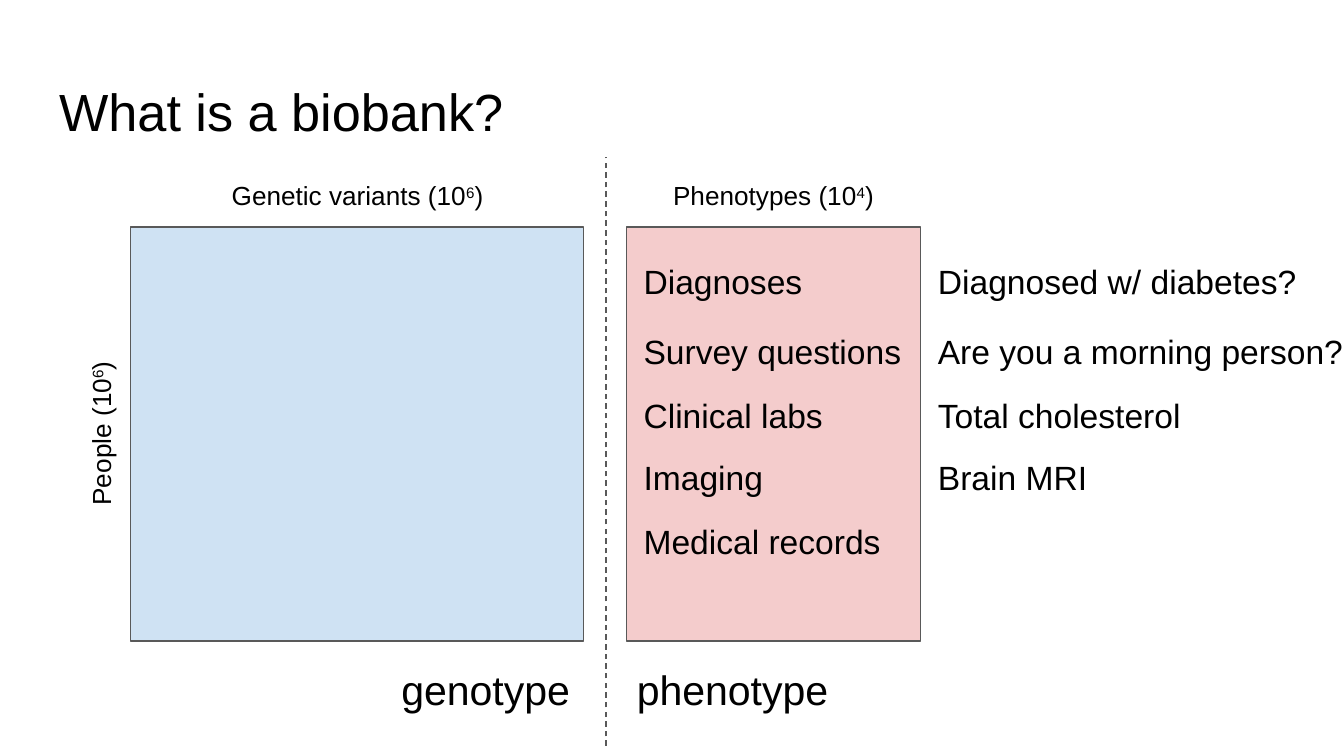
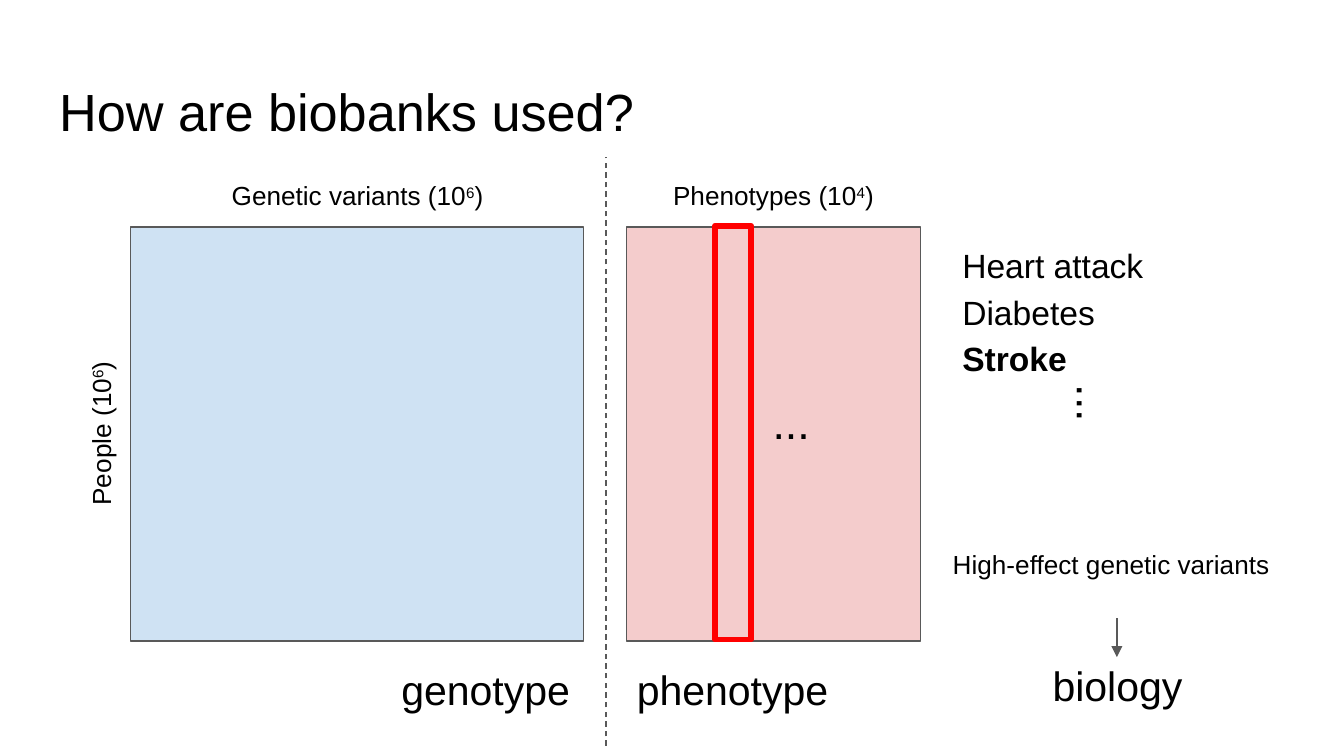
import pptx
import pptx.util
import pptx.dml.color
import pptx.enum.dml
import pptx.enum.shapes
import pptx.enum.text
import lxml.etree

RGB = pptx.dml.color.RGBColor
BLACK = RGB(0x00, 0x00, 0x00)
GRAY = RGB(0x59, 0x59, 0x59)
BLUE = RGB(0xCF, 0xE2, 0xF3)
PINK = RGB(0xF4, 0xCC, 0xCC)
RED = RGB(0xFF, 0x00, 0x00)
FONT = "Arial"
PX = 9144  # EMU per px, 100 px to the inch

ALIGN = pptx.enum.text.PP_ALIGN
ANCHOR = pptx.enum.text.MSO_ANCHOR
RECTANGLE = pptx.enum.shapes.MSO_SHAPE.RECTANGLE
STRAIGHT = pptx.enum.shapes.MSO_CONNECTOR.STRAIGHT
A = "{http://schemas.openxmlformats.org/drawingml/2006/main}"


def write(sp, box, text, size, align=ALIGN.LEFT, anchor=ANCHOR.TOP, pad=10, wrap=True):
    """Place a text shape and fill it; ^ marks the next character as superscript."""
    sp.left, sp.top, sp.width, sp.height = [v * PX for v in box]
    tf = sp.text_frame
    tf.word_wrap = wrap
    tf.auto_size = pptx.enum.text.MSO_AUTO_SIZE.NONE
    tf.vertical_anchor = anchor
    tf.margin_left = tf.margin_right = 10 * PX
    tf.margin_top = tf.margin_bottom = pad * PX
    for i, line in enumerate(text.split("\n")):
        p = tf.add_paragraph() if i else tf.paragraphs[0]
        p.alignment = align
        base, _, rest = line.partition("^")
        for part, raised in ((base, False), (rest[:1], True), (rest[1:], False)):
            if part:
                r = p.add_run()
                r.text = part
                r.font.name = FONT
                r.font.size = pptx.util.Pt(size)
                r.font.color.rgb = BLACK
                if raised:
                    r.font._element.set("baseline", "30000")
    return sp


def add_line(s, x1, y1, x2, y2):
    cx = s.shapes.add_connector(STRAIGHT, x1 * PX, y1 * PX, x2 * PX, y2 * PX)
    cx.line.color.rgb = GRAY
    cx.line.width = pptx.util.Pt(0.75)
    lxml.etree.SubElement(cx._element.spPr, A + "effectLst")
    return cx


prs = pptx.Presentation()
prs.slide_width = 1000 * PX
prs.slide_height = prs.slide_width * 9 // 16

# Shared frame: title, the two data blocks, their labels and the divider
slides = []
for title, layout in (("What is a biobank?", 5), ("How are biobanks used?", 1)):
    s = prs.slides.add_slide(prs.slide_layouts[layout])
    slides.append(s)
    write(s.shapes.title, (34, 49, 932, 63), title, 28)

    for left, width, color in ((97, 337, BLUE), (466, 219, PINK)):
        sp = s.shapes.add_shape(RECTANGLE, left * PX, 169 * PX, width * PX, 308 * PX)
        sp.shadow.inherit = False
        sp.fill.solid()
        sp.fill.fore_color.rgb = color
        sp.line.color.rgb = GRAY
        sp.line.width = pptx.util.Pt(0.75)

    for box, text, size, align, rotation in (
        ((-79, 304, 308, 37), "People (10^6)", 14, ALIGN.CENTER, 270),
        ((145, 127, 242, 37), "Genetic variants (10^6)", 14, ALIGN.CENTER, 0),
        ((466, 127, 219, 37), "Phenotypes (10^4)", 14, ALIGN.CENTER, 0),
        ((97, 494, 337, 37), "genotype", 22, ALIGN.RIGHT, 0),
        ((464, 494, 337, 37), "phenotype", 22, ALIGN.LEFT, 0),
    ):
        sp = s.shapes.add_textbox(0, 0, 0, 0)
        write(sp, box, text, size, align, ANCHOR.MIDDLE)
        sp.rotation = rotation

    cx = add_line(s, 451, 555, 451, 117)
    cx.line.dash_style = pptx.enum.dml.MSO_LINE.DASH

# Slide 1: kinds of phenotype, each with an example
s = slides[0]
for top, height, kind, kind_width, example, example_width in (
    (189, 64, "Diagnoses", 139, "Diagnosed w/ diabetes?", 289),
    (241, 64, "Survey questions", 214, "Are you a morning person?", 333),
    (289, 64, "Clinical labs", 155, "Total cholesterol", 205),
    (335, 40, "Imaging", 110, "Brain MRI", 132),
    (383, 64, "Medical records", 198, "", 0),
):
    for left, text, width in ((469, kind, kind_width), (688, example, example_width)):
        if text:
            sp = s.shapes.add_textbox(0, 0, 0, 0)
            write(sp, (left, top, width, height), text, 18, pad=5, wrap=False)

# Slide 2: list of diseases
s = slides[1]
body = s.placeholders[1]
write(body, (706, 168, 280, 308), "Heart attack\nDiabetes\nStroke", 18)
for p in body.text_frame.paragraphs:
    p.line_spacing = 1.15
    p.space_before = pptx.util.Pt(0)
    pPr = p._p.get_or_add_pPr()
    pPr.set("marL", "0")
    pPr.set("indent", "0")
    lxml.etree.SubElement(pPr, A + "buNone")
p.runs[0].font.bold = True

# Highlighted phenotype column
sp = s.shapes.add_shape(RECTANGLE, 532 * PX, 168 * PX, 27 * PX, 308 * PX)
sp.shadow.inherit = False
sp.fill.background()
sp.line.color.rgb = RED
sp.line.width = pptx.util.Pt(3)

# Ellipses: more diseases, more columns
for left, top, rotation in ((788, 296, 90), (565, 284, 0)):
    sp = s.shapes.add_textbox(0, 0, 0, 0)
    write(sp, (left, top, 76, 37), "...", 24)
    sp.rotation = rotation

# From variants to biology
sp = s.shapes.add_textbox(0, 0, 0, 0)
write(sp, (699, 398, 301, 63), "High-effect genetic variants", 14)
cx = add_line(s, 831, 460, 831, 489)
lxml.etree.SubElement(cx.line._get_or_add_ln(), A + "tailEnd", type="triangle")
sp = s.shapes.add_textbox(0, 0, 0, 0)
write(sp, (681, 489, 301, 41), "biology", 22, ALIGN.CENTER, ANCHOR.MIDDLE)

prs.save("out.pptx")
